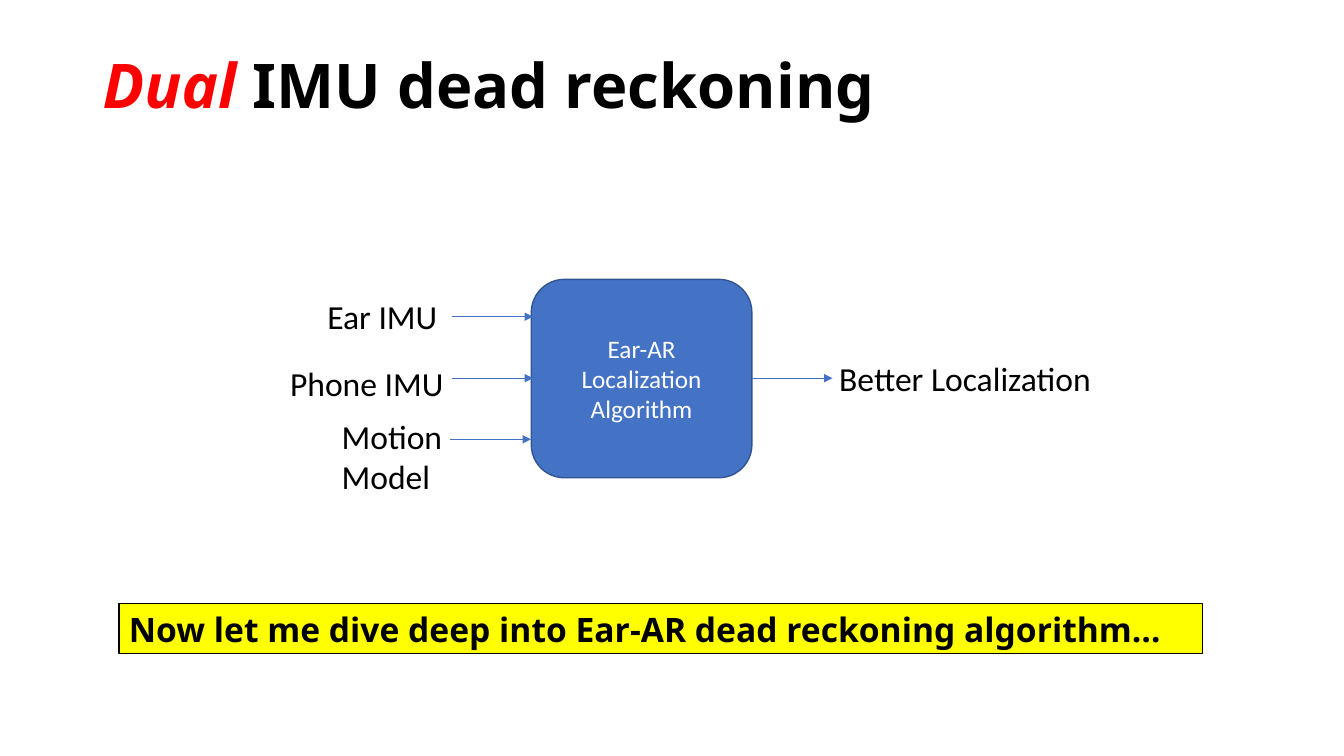
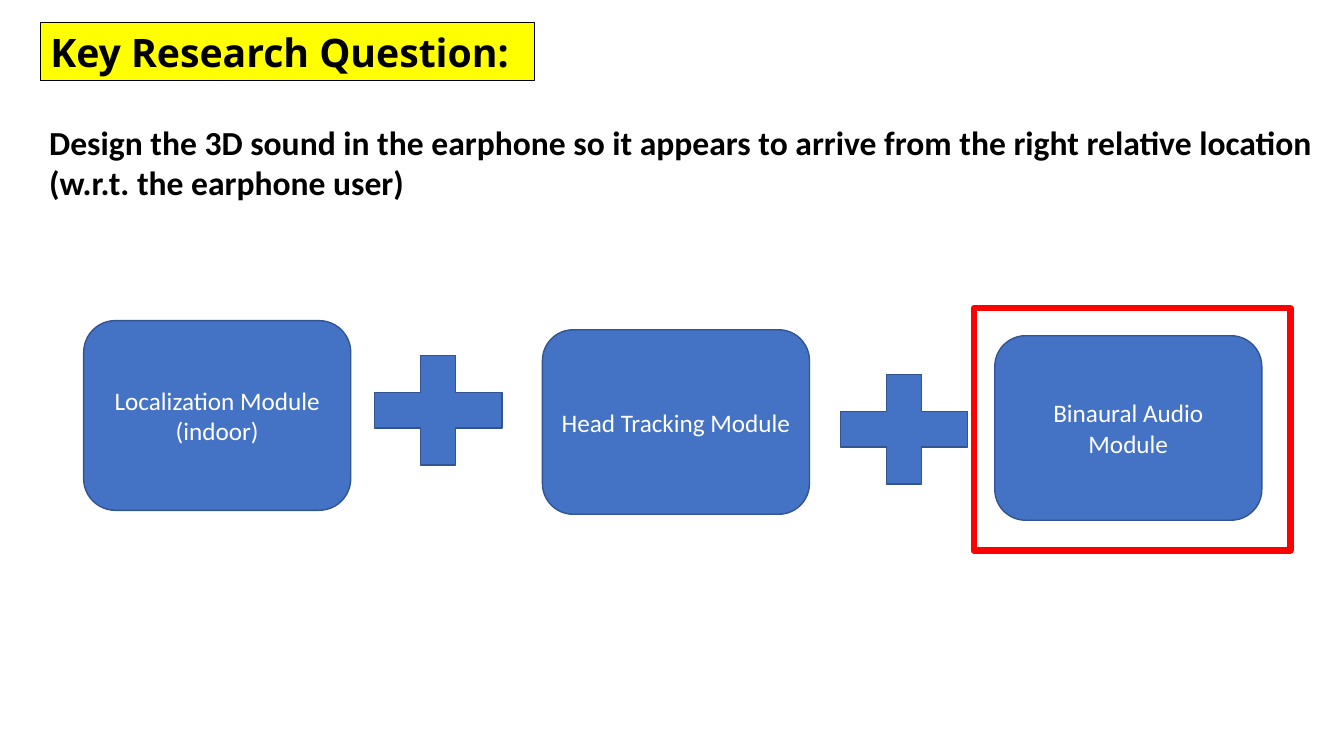
import dataclasses

import lxml.etree
import pptx
import pptx.dml.color
import pptx.enum.shapes
import pptx.enum.text
import pptx.oxml.ns
import pptx.util

Cm = pptx.util.Cm
Pt = pptx.util.Pt
RGB = pptx.dml.color.RGBColor
PRESET = pptx.enum.shapes.MSO_SHAPE
ALIGN = pptx.enum.text.PP_ALIGN
ANCHOR = pptx.enum.text.MSO_ANCHOR


@dataclasses.dataclass(frozen=True)
class Theme:
    black: RGB = RGB(0x00, 0x00, 0x00)
    white: RGB = RGB(0xFF, 0xFF, 0xFF)
    red: RGB = RGB(0xFF, 0x00, 0x00)
    yellow: RGB = RGB(0xFF, 0xFF, 0x00)
    blue: RGB = RGB(0x44, 0x72, 0xC4)
    dark_blue: RGB = RGB(0x32, 0x54, 0x91)
    heading_font: str = "Noto Sans"
    body_font: str = "Calibri"
    title_size: int = 44
    heading_size: int = 28
    body_size: int = 24
    module_size: int = 18


theme = Theme()


def add_box(slide, preset, box, fill=None, line=None, width=1):
    """Add a preset shape, or a plain text box when preset is None; box is in cm."""
    lengths = [Cm(value) for value in box]
    if preset is None:
        return slide.shapes.add_textbox(*lengths)
    shape = slide.shapes.add_shape(preset, *lengths)
    shape.shadow.inherit = False
    if fill is None:
        shape.fill.background()
    else:
        shape.fill.solid()
        shape.fill.fore_color.rgb = fill
    shape.line.color.rgb = line
    shape.line.width = Pt(width)
    return shape


def write(shape, text, size, font=theme.body_font, color=theme.black, bold=False,
          align=ALIGN.LEFT, anchor=ANCHOR.TOP):
    """Fill a shape with text in one style; each line becomes a paragraph."""
    text_frame = shape.text_frame
    text_frame.word_wrap = True
    text_frame.vertical_anchor = anchor
    text_frame.text = text
    for paragraph in text_frame.paragraphs:
        paragraph.alignment = align
        paragraph.font.size = Pt(size)
        paragraph.font.name = font
        paragraph.font.bold = bold
        paragraph.font.color.rgb = color


heading_style = dict(font=theme.heading_font, bold=True)
module_style = dict(size=theme.module_size, color=theme.white,
                    align=ALIGN.CENTER, anchor=ANCHOR.MIDDLE)
module_look = dict(fill=theme.blue, line=theme.dark_blue)
banner_look = dict(fill=theme.yellow, line=theme.black, width=0.75)

presentation = pptx.Presentation()
presentation.slide_width = Cm(33.87)
presentation.slide_height = Cm(19.05)
blank_layout = presentation.slide_layouts[6]

# Slide 1: dual IMU dead reckoning
slide = presentation.slides.add_slide(blank_layout)

# Title with a highlighted first word
title = add_box(slide, None, (2.34, 1.02, 29.21, 2.44))
write(title, "", theme.title_size, anchor=ANCHOR.MIDDLE, **heading_style)
paragraph = title.text_frame.paragraphs[0]
paragraph.line_spacing = 0.9
for text, color, italic in (("Dual", theme.red, True),
                            (" IMU dead reckoning", theme.black, False)):
    run = paragraph.add_run()
    run.text = text
    run.font.color.rgb = color
    run.font.italic = italic

# Algorithm block
algorithm = add_box(slide, PRESET.FLOWCHART_ALTERNATE_PROCESS,
                    (13.39, 7.04, 5.56, 5), **module_look)
write(algorithm, "Ear-AR Localization Algorithm", **module_style)

# Arrows into and out of the block
arrow_length = 2.03
for left, top in ((11.4, 7.98), (11.4, 9.53), (11.35, 11.07), (18.95, 9.53)):
    arrow = slide.shapes.add_connector(
        pptx.enum.shapes.MSO_CONNECTOR.STRAIGHT,
        Cm(left), Cm(top), Cm(left + arrow_length), Cm(top))
    arrow.line.color.rgb = theme.blue
    arrow.line.width = Pt(0.5)
    lxml.etree.SubElement(arrow.line._get_or_add_ln(),
                          pptx.oxml.ns.qn("a:tailEnd"), type="triangle")
    lxml.etree.SubElement(arrow._element.spPr, pptx.oxml.ns.qn("a:effectLst"))

# Input and output labels
for text, box in (("Ear IMU", (8, 7.32, 3.3, 1.27)),
                  ("Phone IMU", (7.06, 9.02, 4.42, 1.27)),
                  ("Motion\nModel", (8.36, 10.36, 3.38, 2.31)),
                  ("Better Localization", (20.9, 8.89, 6.93, 1.27))):
    write(add_box(slide, None, box), text, theme.body_size)

# Closing banner
banner = add_box(slide, PRESET.RECTANGLE, (3, 15.21, 27.31, 1.27), **banner_look)
write(banner, "Now let me dive deep into Ear-AR dead reckoning algorithm…",
      theme.body_size, **heading_style)

# Slide 2: key research question
slide = presentation.slides.add_slide(blank_layout)

# Heading banner and question
banner = add_box(slide, PRESET.RECTANGLE, (1.02, 0.58, 12.45, 1.45), **banner_look)
write(banner, "Key Research Question:", theme.heading_size, **heading_style)
question = add_box(slide, None, (0.99, 2.95, 32.89, 2.31))
write(question, "Design the 3D sound in the earphone so it appears to arrive from "
      "the right relative location (w.r.t. the earphone user)",
      theme.body_size, bold=True)

# Modules
for text, left, top, height in (("Localization Module\n(indoor)", 2.11, 8.08, 4.78),
                                ("Head Tracking Module", 13.67, 8.31, 4.65),
                                ("Binaural Audio Module", 25.07, 8.46, 4.65)):
    module = add_box(slide, PRESET.FLOWCHART_ALTERNATE_PROCESS,
                     (left, top, 6.73, height), **module_look)
    write(module, text, **module_style)

# Plus signs between the modules
for left, top in ((8.86, 8.46), (20.6, 8.94)):
    add_box(slide, PRESET.MATH_PLUS, (left, top, 4.37, 3.76), **module_look)

# Frame around the module in focus
add_box(slide, PRESET.RECTANGLE, (24.54, 7.77, 7.98, 6.1), line=theme.red, width=4.5)

presentation.save("out.pptx")
